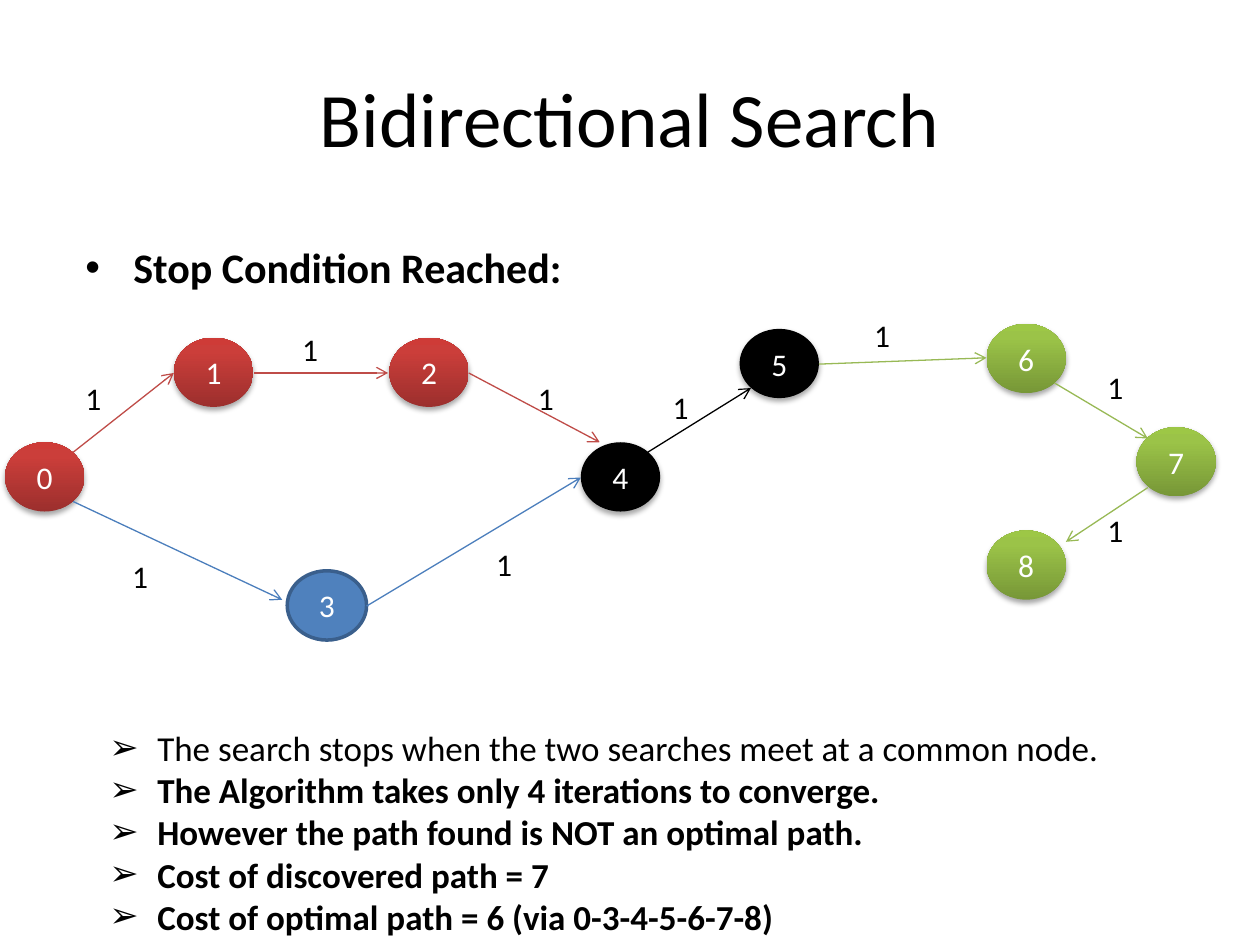
from lxml import etree
from pptx import Presentation
from pptx.dml.color import RGBColor
from pptx.enum import shapes, text
from pptx.oxml import ns
from pptx.util import Inches, Pt

COLORS = {
    "black": "000000", "white": "FFFFFF",
    "blue": "4F81BD", "blue_border": "3A5F8C",
    "red_line": "BF4C48", "blue_line": "4B7EBC", "green_line": "98B955",
}
GRADIENTS = {
    "red": [(0, "9C2F2D"), (80, "CB3E3A"), (100, "CE3B37")],
    "green": [(0, "779737"), (80, "9BC348"), (100, "9DC746")],
}
FONT = "Calibri"
NODE_WIDTH, NODE_HEIGHT = 0.63, 0.55
NODES = [
    ("0", 0.04, 3.51, "red"), ("1", 1.38, 2.68, "red"), ("2", 3.09, 2.68, "red"),
    ("3", 2.28, 4.53, "blue"), ("4", 4.61, 3.51, "black"), ("5", 5.87, 2.61, "black"),
    ("6", 7.83, 2.57, "green"), ("7", 9.02, 3.39, "green"), ("8", 7.83, 4.21, "green"),
]
EDGES = [
    ((0.58, 3.59), (1.38, 2.96), "red_line"),
    ((2.02, 2.96), (3.08, 2.96), "red_line"),
    ((3.72, 2.96), (4.76, 3.51), "red_line"),
    ((0.58, 3.98), (2.24, 4.76), "blue_line"),
    ((2.91, 4.81), (4.61, 3.79), "blue_line"),
    ((5.14, 3.59), (5.96, 3.08), "black"),
    ((6.5, 2.89), (7.83, 2.84), "green_line"),
    ((8.37, 3.04), (9.11, 3.48), "green_line"),
    ((9.11, 3.87), (8.46, 4.3), "green_line"),
]
COST_POSITIONS = [
    (0.58, 2.96), (2.3, 2.57), (4.17, 2.96), (0.95, 4.37), (3.84, 4.28),
    (5.24, 3.03), (6.84, 2.46), (8.69, 2.87), (8.69, 4.01),
]
CONCLUSIONS = [
    ("The search stops when the two searches meet at a common node.", False),
    ("The Algorithm takes only 4 iterations to converge.", True),
    ("However the path found is NOT an optimal path.", True),
    ("Cost of discovered path = 7", True),
    ("Cost of optimal path = 6 (via 0-3-4-5-6-7-8)", True),
]


def rgb(name):
    return RGBColor.from_string(COLORS[name])


def add_element(parent, tag, **attributes):
    return etree.SubElement(parent, ns.qn(tag), {k: str(v) for k, v in attributes.items()})


def add_run(paragraph, words, size, color="black", bold=False):
    run = paragraph.add_run()
    run.text = words
    run.font.name = FONT
    run.font.size = Pt(size)
    run.font.bold = bold
    run.font.color.rgb = rgb(color)


def set_bullet(paragraph, character, font):
    properties = paragraph._p.get_or_add_pPr()
    properties.set("marL", str(Inches(0.38)))
    properties.set("indent", str(Inches(-0.38)))
    add_element(properties, "a:buFont", typeface=font)
    add_element(properties, "a:buChar", char=character)


def add_text_box(slide, left, top, width, height):
    box = slide.shapes.add_textbox(Inches(left), Inches(top), Inches(width), Inches(height))
    box.text_frame.word_wrap = True
    return box.text_frame


def add_title(slide, words):
    frame = add_text_box(slide, 0.5, 0.3, 9, 1.25)
    frame.vertical_anchor = text.MSO_ANCHOR.MIDDLE
    frame.paragraphs[0].alignment = text.PP_ALIGN.CENTER
    add_run(frame.paragraphs[0], words, 44)


def add_bullets(slide, position, items, size, character, font):
    frame = add_text_box(slide, *position)
    for index, (words, bold) in enumerate(items):
        paragraph = frame.add_paragraph() if index else frame.paragraphs[0]
        set_bullet(paragraph, character, font)
        add_run(paragraph, words, size, bold=bold)


def set_gradient(shape, stops):
    shape.fill.gradient()
    shape.fill.gradient_angle = 90
    stop_list = shape._element.spPr.find(ns.qn("a:gradFill")).find(ns.qn("a:gsLst"))
    for stop in list(stop_list):
        stop_list.remove(stop)
    for position, color in stops:
        stop = add_element(stop_list, "a:gs", pos=position * 1000)
        add_element(stop, "a:srgbClr", val=color)


def add_shadow(shape):
    effects = shape._element.spPr.find(ns.qn("a:effectLst"))
    shadow = add_element(effects, "a:outerShdw", blurRad=Pt(3.1), dist=Pt(1.8),
                         dir=5400000, rotWithShape=0)
    color = add_element(shadow, "a:srgbClr", val=COLORS["black"])
    add_element(color, "a:alpha", val=35000)


def add_node(slide, label, left, top, color):
    node = slide.shapes.add_shape(shapes.MSO_SHAPE.OVAL, Inches(left), Inches(top),
                                  Inches(NODE_WIDTH), Inches(NODE_HEIGHT))
    if color in GRADIENTS:
        set_gradient(node, GRADIENTS[color])
    else:
        node.fill.solid()
        node.fill.fore_color.rgb = rgb(color)
    node.shadow.inherit = False
    if color == "blue":
        node.line.color.rgb = rgb("blue_border")
        node.line.width = Pt(2)
    else:
        node.line.fill.background()
        add_shadow(node)
    node.text_frame.vertical_anchor = text.MSO_ANCHOR.MIDDLE
    paragraph = node.text_frame.paragraphs[0]
    paragraph.alignment = text.PP_ALIGN.CENTER
    add_run(paragraph, label, 18, "white")


def add_edge(slide, start, end, color):
    edge = slide.shapes.add_connector(shapes.MSO_CONNECTOR.STRAIGHT,
                                      *map(Inches, start + end))
    edge.line.color.rgb = rgb(color)
    edge.line.width = Pt(0.75)
    add_element(edge.line._get_or_add_ln(), "a:tailEnd", type="arrow")
    add_element(edge._element.spPr, "a:effectLst")


def add_cost(slide, left, top):
    frame = add_text_box(slide, left, top, 0.4, 0.4)
    add_run(frame.paragraphs[0], "1", 18)


def main():
    presentation = Presentation()
    presentation.slide_width = Inches(10)
    presentation.slide_height = Inches(7.5)
    slide = presentation.slides.add_slide(presentation.slide_layouts[6])
    add_title(slide, "Bidirectional Search")
    add_bullets(slide, (0.58, 1.87, 5.75, 0.5), [("Stop Condition Reached:", True)],
                24, "•", "Arial")
    for node in NODES:
        add_node(slide, *node)
    for edge in EDGES:
        add_edge(slide, *edge)
    for position in COST_POSITIONS:
        add_cost(slide, *position)
    add_bullets(slide, (0.77, 5.72, 8.88, 1.78), CONCLUSIONS, 20, "➢", FONT)
    presentation.save("out.pptx")


if __name__ == "__main__":
    main()
